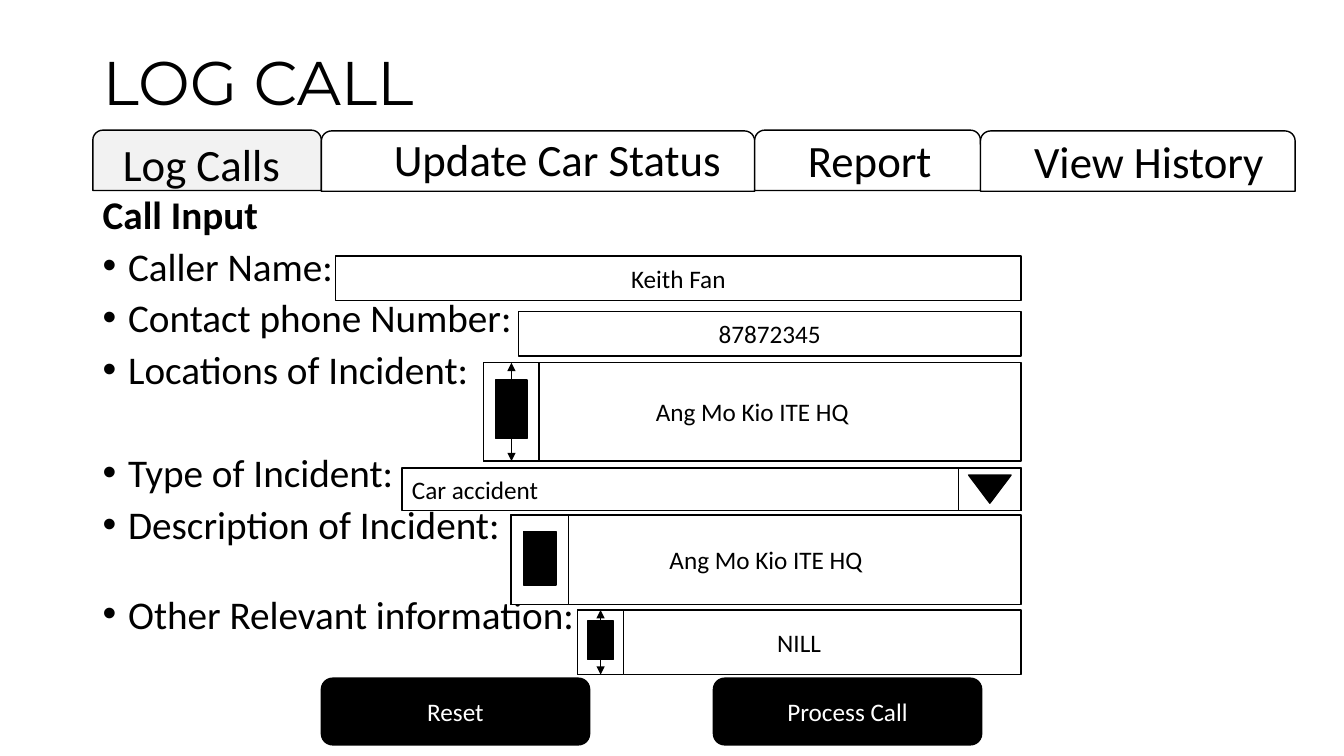
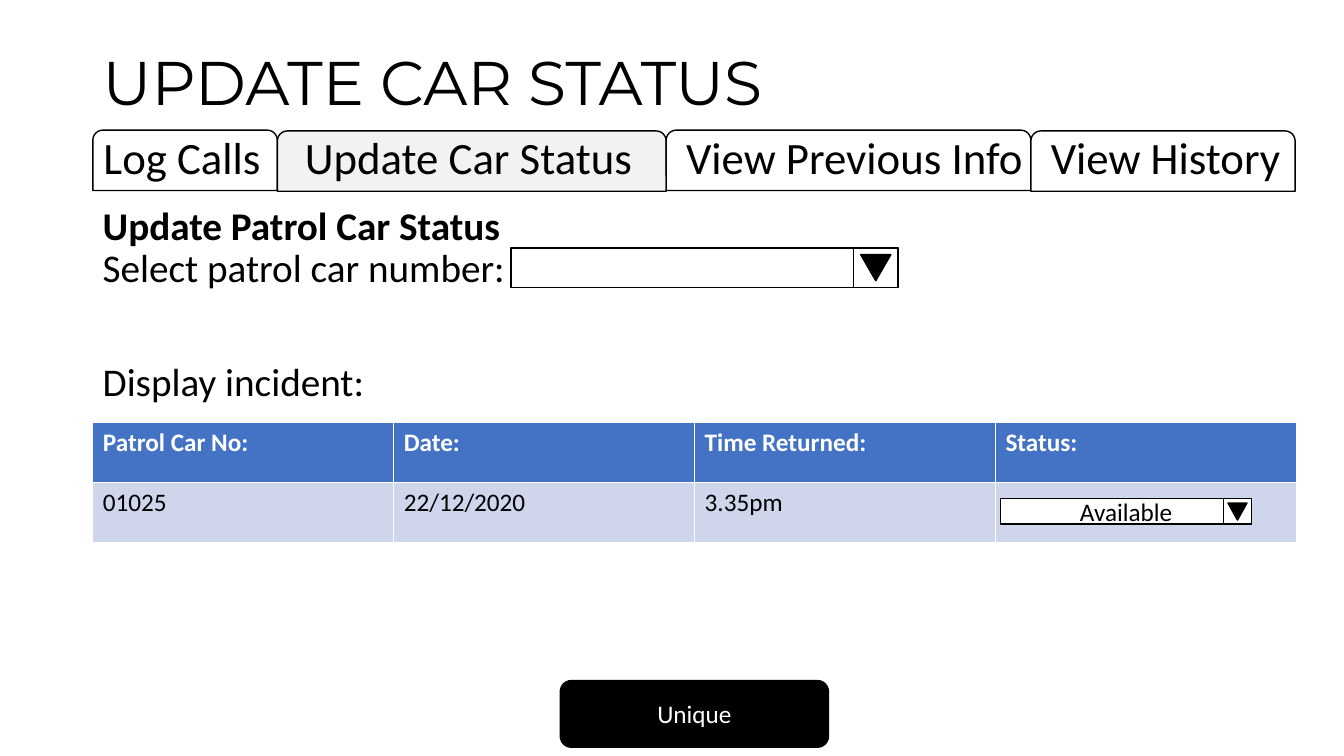
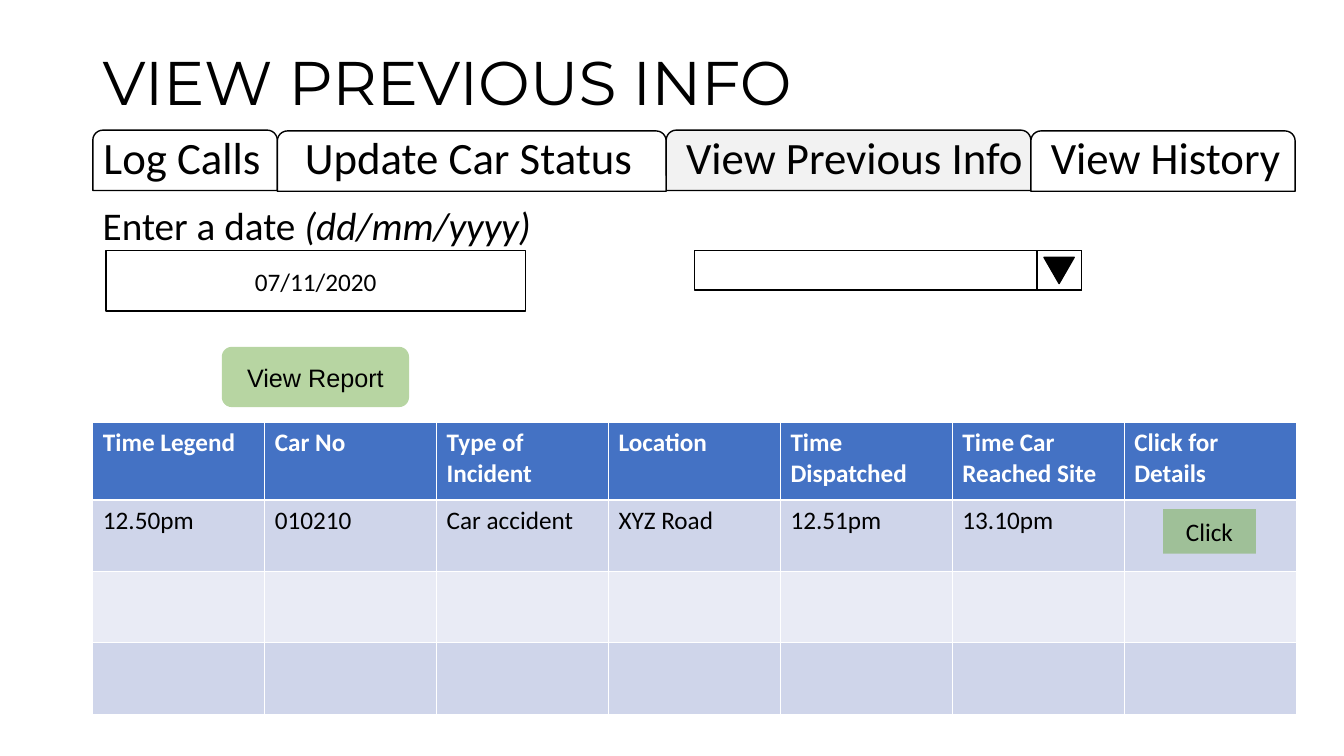
from lxml import etree
from pptx import Presentation
from pptx.dml.color import RGBColor
from pptx.enum.shapes import MSO_CONNECTOR, MSO_SHAPE
from pptx.enum.text import MSO_ANCHOR, PP_ALIGN
from pptx.oxml.ns import qn
from pptx.util import Cm, Pt

RECT = MSO_SHAPE.RECTANGLE
ROUND = MSO_SHAPE.ROUNDED_RECTANGLE
TAB = MSO_SHAPE.ROUND_2_SAME_RECTANGLE
BUTTON = MSO_SHAPE.FLOWCHART_ALTERNATE_PROCESS
TRIANGLE = MSO_SHAPE.ISOSCELES_TRIANGLE
STRAIGHT = MSO_CONNECTOR.STRAIGHT
TOP, MIDDLE = MSO_ANCHOR.TOP, MSO_ANCHOR.MIDDLE
LEFT, CENTER = PP_ALIGN.LEFT, PP_ALIGN.CENTER

COLORS = {
    "black": "000000",
    "white": "FFFFFF",
    "active": "F2F2F2",
    "head": "4472C4",
    "odd": "CFD5EA",
    "even": "E9EBF5",
    "green": "70AD47",
}
EDGE = 2.34
RIGHT = 25.73


def box(slide, kind, x, y, w, h, fill="white", line="black"):
    place = Cm(x), Cm(y), Cm(w), Cm(h)
    if kind is None:
        shape = slide.shapes.add_textbox(*place)
    else:
        shape = slide.shapes.add_shape(kind, *place)
        shape.shadow.inherit = False
        shape.fill.solid()
        shape.fill.fore_color.rgb = RGBColor.from_string(COLORS[fill])
        if line:
            shape.line.color.rgb = RGBColor.from_string(COLORS[line])
            shape.line.width = Pt(1)
        else:
            shape.line.fill.background()
    shape.text_frame.word_wrap = True
    shape.text_frame.vertical_anchor = MIDDLE
    return shape


def write(frame, text, size=18, font="Calibri", color="black", bold=False,
          italic=False, align=CENTER, space=1.0, before=0, bullet=False,
          join=False):
    para = frame.paragraphs[-1]
    if para.runs and not join:
        para = frame.add_paragraph()
    if not join:
        para.alignment = align
        para.line_spacing = space
        para.space_before = Pt(before)
    if bullet:
        props = para._p.get_or_add_pPr()
        props.set("marL", str(Cm(0.64)))
        props.set("indent", str(-Cm(0.64)))
        etree.SubElement(props, qn("a:buFont")).set("typeface", "Arial")
        etree.SubElement(props, qn("a:buChar")).set("char", "•")
    run = para.add_run()
    run.text = text
    run.font.size = Pt(size)
    run.font.name = font
    run.font.bold = bold
    run.font.italic = italic
    run.font.color.rgb = RGBColor.from_string(COLORS[color])


deck = Presentation()
deck.slide_width = Cm(33.87)
deck.slide_height = Cm(19.05)
log, update, view = [deck.slides.add_slide(deck.slide_layouts[6])
                     for _ in range(3)]

log_tabs = (
    [2.34, 8.1, 19.02, 24.71, 32.64],
    [("Log Calls", 1.7, 3.45, 6.76, 1.5),
     ("Update Car Status", 9.07, 3.38, 9.96, 1.4),
     ("Report", 18.54, 3.45, 6.76, 1.32),
     ("View History", 25.27, 3.45, 7.37, 1.35)],
)
info_tabs = (
    [2.34, 6.99, 16.79, 25.98, 32.64],
    [("Log Calls", 2.34, 3.28, 4.5, 1.5),
     ("Update Car Status", 6.83, 3.28, 9.96, 1.5),
     ("View Previous Info", 16.94, 3.28, 9.19, 1.5),
     ("View History", 26.11, 3.28, 6.53, 1.5)],
)
item = {"bullet": True, "before": 10}
pages = [
    (log, "LOG CALL", 0, log_tabs, 4.9, 0.8, [
        ("Call Input", {"bold": True, "before": 10}),
        ("Caller Name:", item),
        ("Contact phone Number:", item),
        ("Locations of Incident:", item),
        ("Type of Incident:", {"bullet": True, "before": 47}),
        ("Description of Incident:", item),
        ("Other Relevant information:", {"bullet": True, "before": 37}),
    ]),
    (update, "UPDATE CAR STATUS", 1, info_tabs, 5.08, 0.9, [
        ("Update Patrol Car Status", {"bold": True, "before": 10}),
        ("Select patrol car number:", {}),
        ("Display incident:", {"before": 51}),
    ]),
    (view, "VIEW PREVIOUS INFO", 2, info_tabs, 5.08, 0.9, [
        ("Enter a date ", {"before": 10}),
        ("(dd/mm/yyyy)", {"italic": True, "join": True}),
    ]),
]
for slide, title, active, (edges, labels), top, space, lines in pages:
    for i, (start, end) in enumerate(zip(edges, edges[1:])):
        fill = "active" if i == active else "white"
        box(slide, TAB, start, 3.28 + 0.02 * (i % 2), end - start, 1.52, fill)
    for text, *place in labels:
        label = box(slide, None, *place)
        write(label.text_frame, text, size=32, space=0.9)
    head = box(slide, None, EDGE, 1.02, 29.21, 2.26)
    write(head.text_frame, title, size=44, font="Montserrat", align=LEFT,
          space=0.9)
    body = box(slide, None, EDGE, top, 29.21, 12.09).text_frame
    body.vertical_anchor = TOP
    for text, style in lines:
        write(body, text, size=28, align=LEFT, space=space, **style)

tables = [
    (update, [1.52, 1.52], [
        ["Patrol Car No:", "Date:", "Time Returned:", "Status:"],
        ["01025", "22/12/2020", "3.35pm", ""],
    ]),
    (view, [1.96, 1.8, 1.8, 1.8], [
        ["Time Legend", "Car No", "Type of Incident", "Location",
         "Time Dispatched", "Time Car Reached Site", "Click for Details"],
        ["12.50pm", "010210", "Car accident", "XYZ Road", "12.51pm",
         "13.10pm", ""],
        [""] * 7,
        [""] * 7,
    ]),
]
for slide, heights, rows in tables:
    count = len(rows[0])
    grid = slide.shapes.add_table(len(rows), count, Cm(EDGE), Cm(10.64),
                                  Cm(30.33), Cm(sum(heights))).table
    for col in grid.columns:
        col.width = Cm(30.33 / count)
    for r, (height, row) in enumerate(zip(heights, rows)):
        grid.rows[r].height = Cm(height)
        fill = "head" if r == 0 else "odd" if r % 2 else "even"
        for c, text in enumerate(row):
            cell = grid.cell(r, c)
            cell.fill.solid()
            cell.fill.fore_color.rgb = RGBColor.from_string(COLORS[fill])
            if text:
                write(cell.text_frame, text, align=LEFT, bold=r == 0,
                      color="black" if r else "white")

fields = [
    (log, "Keith Fan", 8.46, 6.45, RIGHT - 8.46, 1.12),
    (log, "87872345", 13.06, 7.85, RIGHT - 13.06, 1.12),
    (view, "07/11/2020", 2.67, 6.32, 10.57, 1.52),
]
for slide, text, *place in fields:
    write(box(slide, RECT, *place).text_frame, text)

scrolls = [
    ("Ang Mo Kio ITE HQ", 12.19, 9.14, 2.48, 1.4, 9.58, 0.79, 1.47, True),
    ("Ang Mo Kio ITE HQ", 12.88, 12.98, 2.26, 1.45, 13.39, 0.81, 1.35, False),
    ("NILL", 14.55, 15.37, 1.63, 1.17, 15.65, 0.66, 0.97, True),
]
for text, x, y, h, wide, top, w, tall, arrow in scrolls:
    write(box(log, RECT, x, y, RIGHT - x, h).text_frame, text)
    strip = box(log, RECT, x, y, wide, h)
    box(log, RECT, x + (wide - w) / 2, top, w, tall, "black")
    if arrow:
        mid = Cm(x + wide / 2)
        link = log.shapes.add_connector(STRAIGHT, mid, Cm(y), mid, Cm(y + h))
        link.begin_connect(strip, 0)
        link.end_connect(strip, 2)
        link.line.color.rgb = RGBColor.from_string(COLORS["black"])
        link.line.width = Pt(0.5)
        for end in ("a:headEnd", "a:tailEnd"):
            tip = etree.SubElement(link.line._get_or_add_ln(), qn(end))
            tip.set("type", "triangle")
        etree.SubElement(link._element.spPr, qn("a:effectLst"))

drops = [
    (log, "Car accident", LEFT, 10.13, 11.79, 15.6, 1.07, 1.57, 1.07, 0.71),
    (update, "", LEFT, 12.88, 6.25, 9.75, 0.99, 1.12, 0.76, 0.66),
    (update, "Available", CENTER, 25.22, 12.57, 6.32, 0.64, 0.71, 0.48, 0.43),
    (view, "", LEFT, 17.5, 6.32, 9.75, 0.99, 1.12, 0.76, 0.66),
]
for slide, text, align, x, y, w, h, side, wide, tall in drops:
    field = box(slide, RECT, x, y, w, h)
    if text:
        write(field.text_frame, text, align=align)
    left = x + w - side
    box(slide, RECT, left, y, side, h)
    mark = box(slide, TRIANGLE, left + (side - wide) / 2, y + (h - tall) / 2,
               wide, tall, "black")
    mark.rotation = 180

buttons = [
    (log, "Reset", 8.1, 17.09),
    (log, "Process Call", 17.98, 17.09),
    (update, "Unique", 14.12, 17.15),
]
for slide, text, x, y in buttons:
    button = box(slide, BUTTON, x, y, 6.76, 1.68, "black")
    write(button.text_frame, text, color="white")

greens = [
    (ROUND, "View Report", "Arial", 5.59, 8.74, 4.72, 1.52),
    (RECT, "Click", "Calibri", 29.31, 12.83, 2.34, 1.12),
]
for kind, text, font, *place in greens:
    button = box(view, kind, *place, fill="green", line=None)
    tint = button._element.spPr.find(qn("a:solidFill"))[0]
    etree.SubElement(tint, qn("a:alpha")).set("val", "50000")
    write(button.text_frame, text, font=font)

deck.save("out.pptx")
